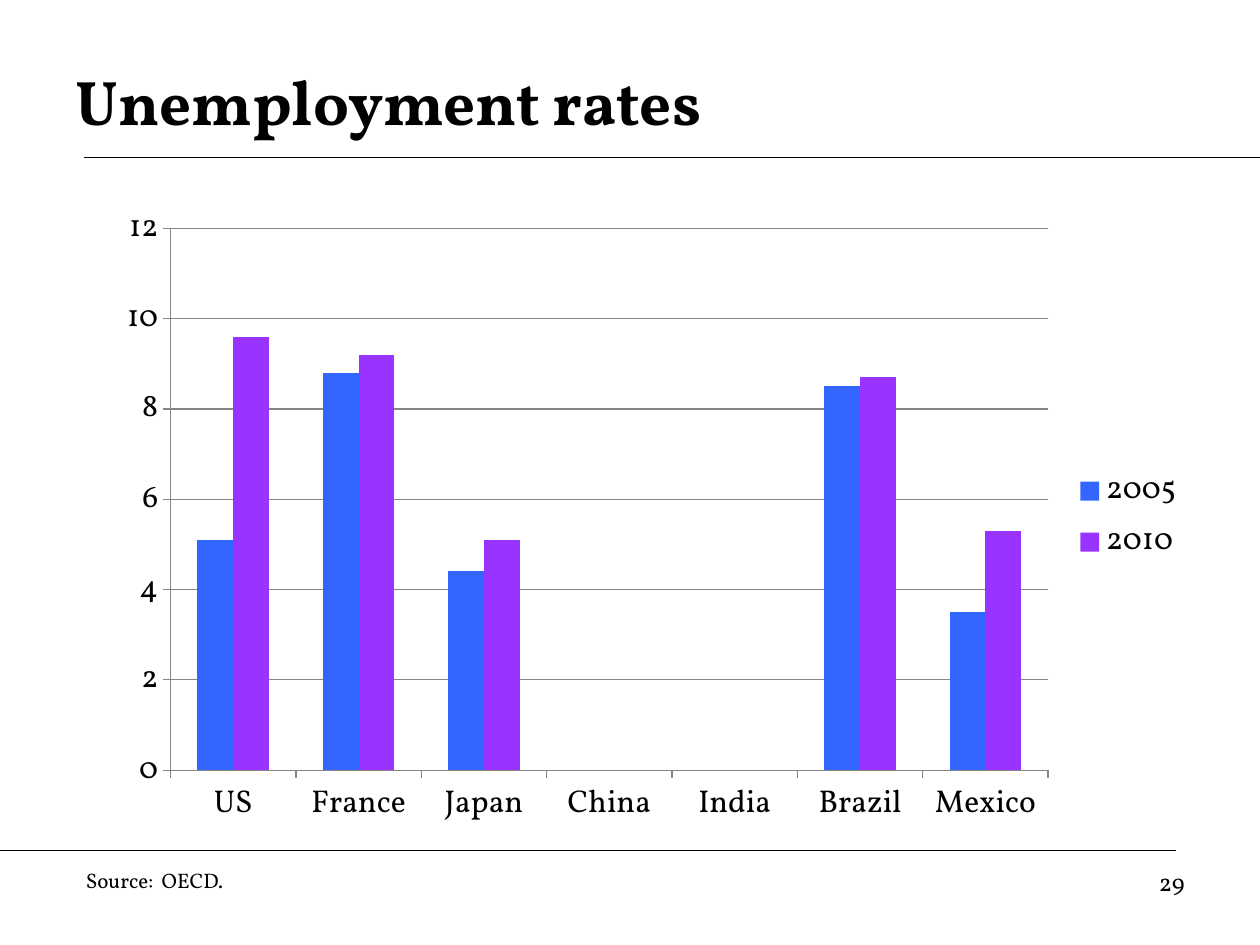
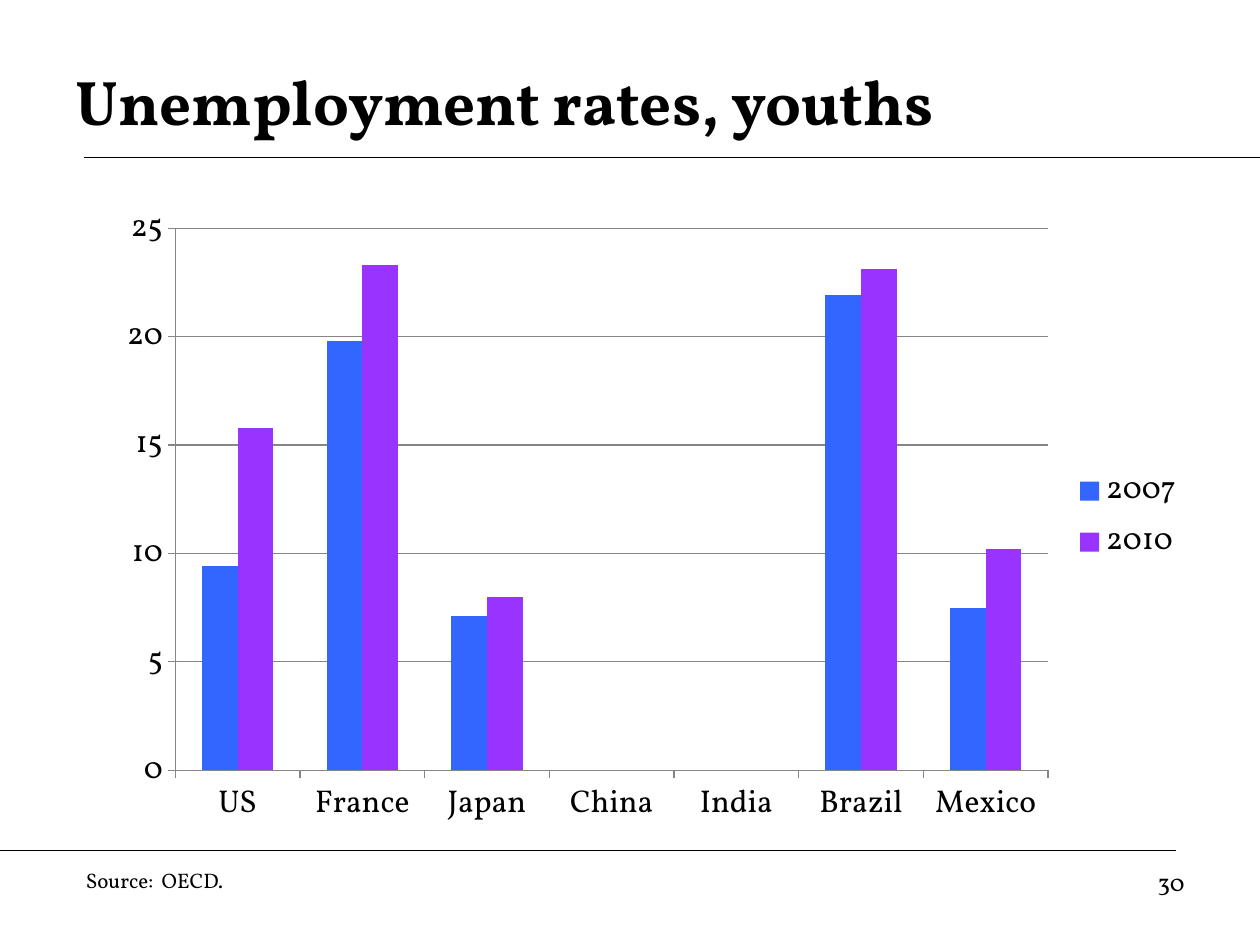
from dataclasses import dataclass

from lxml import etree
from pptx import Presentation
from pptx.chart.data import CategoryChartData
from pptx.dml.color import RGBColor
from pptx.enum.chart import XL_CHART_TYPE, XL_LEGEND_POSITION, XL_TICK_MARK
from pptx.enum.shapes import MSO_CONNECTOR
from pptx.enum.text import MSO_ANCHOR, PP_ALIGN
from pptx.oxml.ns import qn
from pptx.util import Cm, Pt

COLUMNS = XL_CHART_TYPE.COLUMN_CLUSTERED
LEGEND_RIGHT = XL_LEGEND_POSITION.RIGHT
TICK_OUTSIDE = XL_TICK_MARK.OUTSIDE
STRAIGHT = MSO_CONNECTOR.STRAIGHT
TOP, MIDDLE = MSO_ANCHOR.TOP, MSO_ANCHOR.MIDDLE
LEFT, RIGHT = PP_ALIGN.LEFT, PP_ALIGN.RIGHT
BLANK = 6


@dataclass(frozen=True)
class Theme:
    font: str = "Vollkorn"
    text: RGBColor = RGBColor(0x00, 0x00, 0x00)
    paper: RGBColor = RGBColor(0xFF, 0xFF, 0xFF)
    grid: RGBColor = RGBColor(0x86, 0x86, 0x86)
    series: tuple = (RGBColor(0x33, 0x66, 0xFF), RGBColor(0x99, 0x33, 0xFF))
    title_size: int = 36
    chart_size: int = 18
    number_size: int = 14
    source_size: int = 12
    rule_width: float = 0.75


@dataclass(frozen=True)
class Box:
    """Left, top, width and height in centimetres."""
    x: float
    y: float
    w: float
    h: float

    def emu(self) -> tuple:
        return Cm(self.x), Cm(self.y), Cm(self.w), Cm(self.h)


@dataclass(frozen=True)
class TextStyle:
    box: Box
    size: int
    bold: bool = False
    align: PP_ALIGN = LEFT
    anchor: MSO_ANCHOR = TOP


@dataclass(frozen=True)
class Rule:
    x1: float
    x2: float
    y: float


@dataclass(frozen=True)
class RateSlide:
    title: str
    number: int
    rates: dict


THEME = Theme()
SLIDE_W, SLIDE_H = 25.4, 19.05
TITLE = TextStyle(Box(1.27, 0.85, 22.86, 2.33), THEME.title_size, bold=True, anchor=MIDDLE)
SOURCE = TextStyle(Box(1.48, 17.36, 12.28, 0.77), THEME.source_size)
NUMBER = TextStyle(Box(18.2, 17.36, 5.93, 1.32), THEME.number_size, align=RIGHT)
CHART_BOX = Box(2.12, 3.89, 22.01, 13.05)
RULES = (Rule(1.69, SLIDE_W, 3.18), Rule(0, 23.71, 17.15))

COUNTRIES = ("US", "France", "Japan", "China", "India", "Brazil", "Mexico")
SLIDES = (
    RateSlide("Unemployment rates", 29, {
        "2005": (5.1, 8.8, 4.4, None, None, 8.5, 3.5),
        "2010": (9.6, 9.2, 5.1, None, None, 8.7, 5.3),
    }),
    RateSlide("Unemployment rates, youths", 30, {
        "2007": (9.4, 19.8, 7.1, None, None, 21.9, 7.5),
        "2010": (15.8, 23.3, 8, None, None, 23.1, 10.2),
    }),
)


def add_text(slide, text: str, style: TextStyle) -> None:
    tf = slide.shapes.add_textbox(*style.box.emu()).text_frame
    tf.word_wrap = True
    tf.vertical_anchor = style.anchor
    p = tf.paragraphs[0]
    p.alignment = style.align
    r = p.add_run()
    r.text = text
    r.font.name = THEME.font
    r.font.size = Pt(style.size)
    r.font.bold = style.bold
    r.font.color.rgb = THEME.text


def add_rule(slide, rule: Rule) -> None:
    line = slide.shapes.add_connector(
        STRAIGHT, Cm(rule.x1), Cm(rule.y), Cm(rule.x2), Cm(rule.y))
    line.line.color.rgb = THEME.text
    line.line.width = Pt(THEME.rule_width)
    etree.SubElement(line._element.spPr, qn("a:effectLst"))


def style_line(fmt) -> None:
    fmt.line.color.rgb = THEME.grid
    fmt.line.width = Pt(THEME.rule_width)


def add_rate_chart(slide, rates: dict) -> None:
    data = CategoryChartData()
    data.categories = COUNTRIES
    for year, values in rates.items():
        data.add_series(year, values)
    chart = slide.shapes.add_chart(COLUMNS, *CHART_BOX.emu(), data).chart

    chart.has_title = False
    chart.font.name = THEME.font
    chart.font.size = Pt(THEME.chart_size)
    chart.font.color.rgb = THEME.text
    chart.has_legend = True
    chart.legend.position = LEGEND_RIGHT
    chart.legend.include_in_layout = False

    for axis in (chart.category_axis, chart.value_axis):
        axis.major_tick_mark = TICK_OUTSIDE
        style_line(axis.format)
    chart.value_axis.has_major_gridlines = True
    style_line(chart.value_axis.major_gridlines.format)

    plot = chart.plots[0]
    plot.vary_by_categories = False
    plot.gap_width = 150
    plot.overlap = 0
    for series, color in zip(plot.series, THEME.series):
        series.format.fill.solid()
        series.format.fill.fore_color.rgb = color


def add_rate_slide(prs, content: RateSlide) -> None:
    slide = prs.slides.add_slide(prs.slide_layouts[BLANK])
    slide.background.fill.solid()
    slide.background.fill.fore_color.rgb = THEME.paper
    for rule in RULES:
        add_rule(slide, rule)
    add_text(slide, content.title, TITLE)
    add_text(slide, "Source:  OECD.", SOURCE)
    add_text(slide, str(content.number), NUMBER)
    add_rate_chart(slide, content.rates)


def main() -> None:
    prs = Presentation()
    prs.slide_width, prs.slide_height = Cm(SLIDE_W), Cm(SLIDE_H)
    for content in SLIDES:
        add_rate_slide(prs, content)
    prs.save("out.pptx")


if __name__ == "__main__":
    main()
